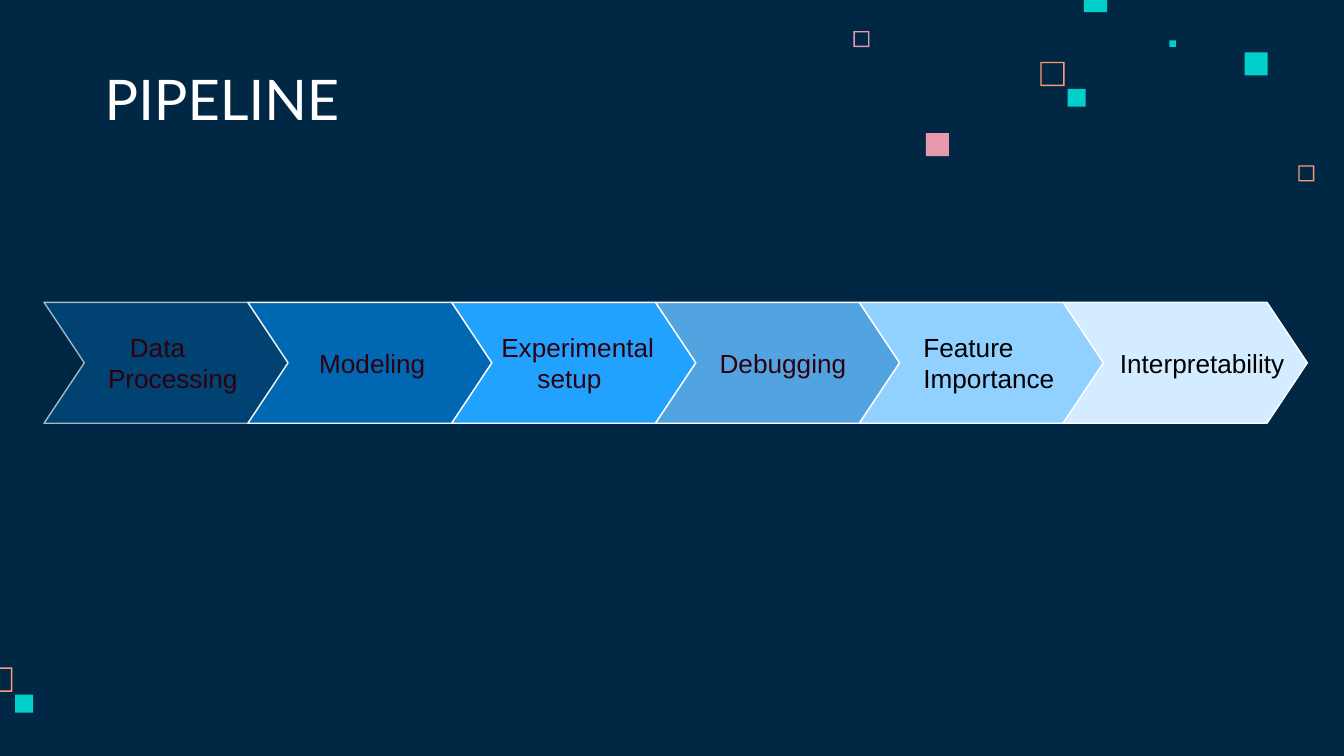
from pptx import Presentation
from pptx.dml.color import RGBColor
from pptx.enum.shapes import MSO_SHAPE as Preset
from pptx.enum.text import MSO_ANCHOR as Anchor, PP_ALIGN as Align
from pptx.util import Pt

COLORS = {
    "background": "002845", "white": "FFFFFF", "black": "000000",
    "maroon": "2F000D", "orange": "FF9973", "pink": "E898AC",
    "teal": "00CFCC", "mist": "A5B7C5", "pale": "F2F2F2",
    "step1": "004271", "step2": "0068B3", "step3": "22A2FF",
    "step4": "52A4E0", "step5": "91D1FF", "step6": "D3ECFF",
}
STEPS = [
    ([("Data", 38.9), ("Processing", 27.2)], "step1", "mist", "maroon"),
    ([("Modeling", 31.1)], "step2", "pale", "maroon"),
    ([("Experimental", 19.5), ("setup", 38.9)], "step3", "white", "maroon"),
    ([("Debugging", 27.2)], "step4", "white", "maroon"),
    ([("Feature", 27.2), ("Importance", 27.2)], "step5", "white", "black"),
    ([("Interpretability", 23.3)], "step6", "white", "black"),
]
TOP_SQUARES = [
    (238.5, 94.6, 8.6, "orange", True), (0.2, 22.6, 8.6, "pink", True),
    (100.3, 39.1, 13, "orange", True), (169.4, 27.6, 3.6, "teal", False),
    (123.7, 0.2, 12.4, "teal", False), (209.7, 34, 12.4, "teal", False),
    (115, 53.6, 9.6, "teal", False), (39, 77.3, 12.4, "pink", False),
]
BOTTOM_SQUARES = [(0, 0, 13, "orange", True), (14.5, 14.6, 9.6, "teal", False)]


def color(name):
    """Return the named colour."""
    return RGBColor.from_string(COLORS[name])


def paint(shape, fill):
    """Give a shape a solid fill and no shadow."""
    shape.shadow.inherit = False
    shape.fill.solid()
    shape.fill.fore_color.rgb = color(fill)


def add_squares(slide, left, top, squares):
    """Scatter solid and hollow squares from a corner."""
    for x, y, size, fill, hollow in squares:
        square = slide.shapes.add_shape(
            Preset.FRAME if hollow else Preset.RECTANGLE,
            Pt(left + x), Pt(top + y), Pt(size), Pt(size))
        if hollow:
            square.adjustments[0] = 0.72 / size
        paint(square, fill)
        square.line.fill.background()


def add_title(slide, left, top, width, height, text):
    """Place the title at the bottom of its box."""
    frame = slide.shapes.add_textbox(Pt(left), Pt(top), Pt(width), Pt(height)).text_frame
    frame.word_wrap = True
    frame.vertical_anchor = Anchor.BOTTOM
    frame.margin_top = frame.margin_bottom = Pt(7.2)
    paragraph = frame.paragraphs[0]
    paragraph.text = text
    paragraph.font.name = "Lato"
    paragraph.font.size = Pt(30)
    paragraph.font.color.rgb = color("white")


def add_step(slide, left, top, width, height, lines, fill, outline, ink):
    """Draw one arrow of the pipeline with its label."""
    notch = height / 3
    right, middle, bottom = left + width, top + height / 2, top + height
    corners = [(left + notch, middle), (left, bottom), (right - notch, bottom),
               (right, middle), (right - notch, top)]
    builder = slide.shapes.build_freeform(Pt(left), Pt(top))
    builder.add_line_segments([(Pt(x), Pt(y)) for x, y in corners], close=True)
    arrow = builder.convert_to_shape()
    paint(arrow, fill)
    arrow.line.color.rgb = color(outline)
    arrow.line.width = Pt(0.75)
    frame = arrow.text_frame
    frame.word_wrap = True
    frame.vertical_anchor = Anchor.MIDDLE
    frame.margin_left = frame.margin_right = Pt(7.2)
    frame.margin_top = frame.margin_bottom = Pt(7.2)
    for index, (text, indent) in enumerate(lines):
        paragraph = frame.add_paragraph() if index else frame.paragraphs[0]
        paragraph.text = text
        paragraph.alignment = Align.LEFT
        paragraph._p.get_or_add_pPr().set("marL", str(Pt(indent)))
        paragraph.font.name = "Arial"
        paragraph.font.size = Pt(14)
        paragraph.font.color.rgb = color(ink)


def add_pipeline(slide, left, top, width, height):
    """Spread the steps evenly, each point meeting the next notch."""
    pitch = (width - height / 3) / len(STEPS)
    for index, step in enumerate(STEPS):
        add_step(slide, left + index * pitch, top, pitch + height / 3, height, *step)


def main():
    """Build and save the slide."""
    presentation = Presentation()
    presentation.slide_width, presentation.slide_height = Pt(720), Pt(405)
    slide = presentation.slides.add_slide(presentation.slide_layouts[6])
    slide.background.fill.solid()
    slide.background.fill.fore_color.rgb = color("background")
    add_squares(slide, 457, -6, TOP_SQUARES)
    add_squares(slide, -6.4, 357.6, BOTTOM_SQUARES)
    add_title(slide, 49, 32.4, 372, 45.4, "PIPELINE")
    add_pipeline(slide, 23.6, 162, 676.8, 64.8)
    presentation.save("out.pptx")


if __name__ == "__main__":
    main()
